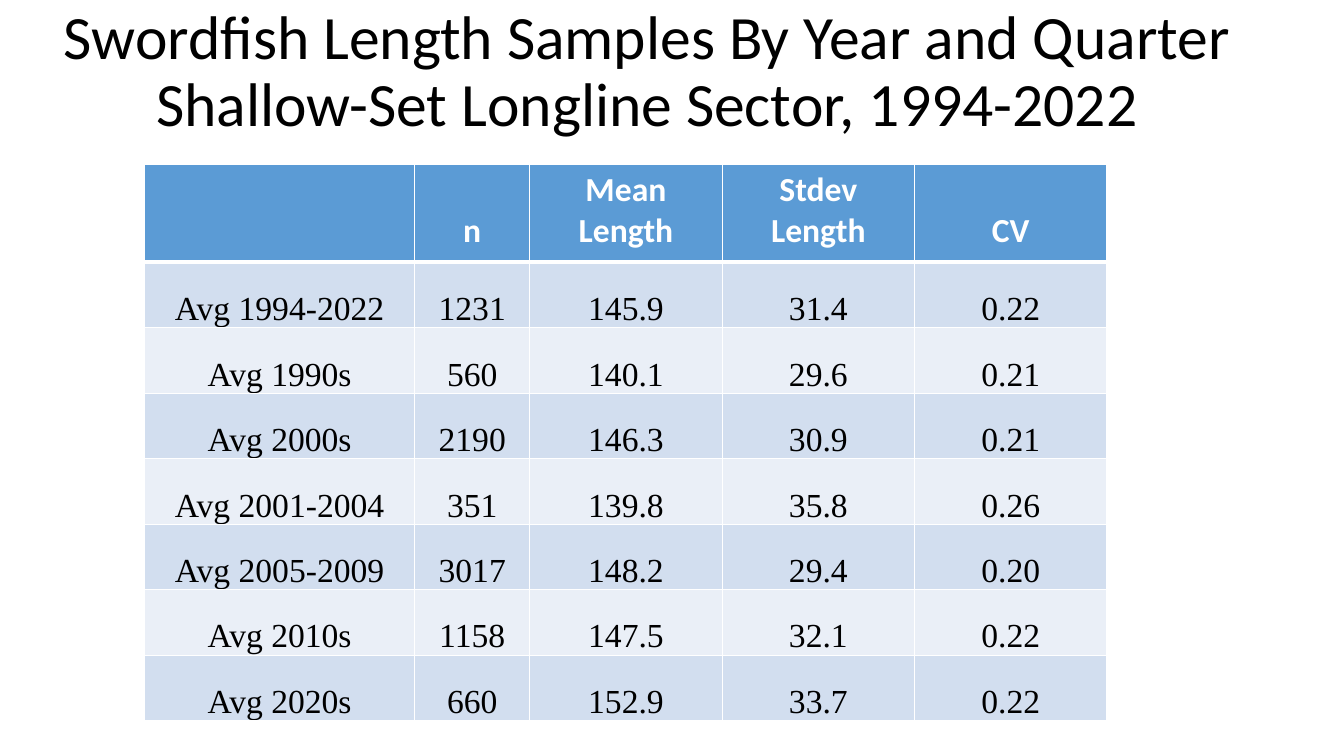
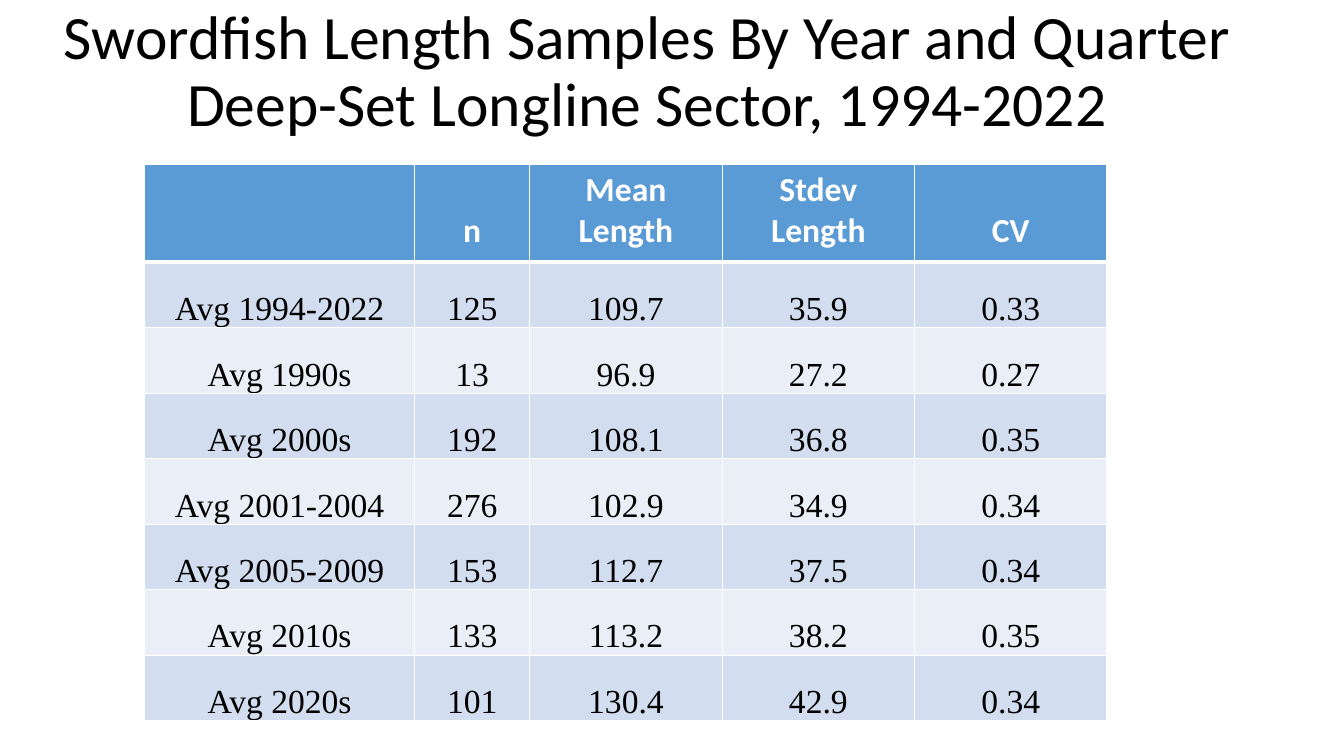
from dataclasses import dataclass

from lxml.etree import SubElement
from pptx import Presentation
from pptx.dml.color import RGBColor as Rgb
from pptx.enum.text import MSO_ANCHOR as Anchor, PP_ALIGN as Align
from pptx.oxml.ns import qn
from pptx.util import Cm, Pt

COLORS = {
    "text": "000000",
    "white": "FFFFFF",
    "header": "5B9BD5",
    "odd": "D2DEEF",
    "even": "EAEFF7",
}
HEADINGS = ("", "n", "Mean\nLength", "Stdev\nLength", "CV")
PERIODS = ("1994-2022", "1990s", "2000s", "2001-2004", "2005-2009", "2010s", "2020s")
COLUMN_WIDTHS = (6.81, 2.9, 4.85, 4.85, 4.85)
HEADER_HEIGHT, ROW_HEIGHT = 2.46, 1.65
TABLE_LEFT, TABLE_TOP = 3.64, 4.15
THIN, THICK = 1, 3


@dataclass(frozen=True)
class Sector:
    name: str
    samples: tuple[tuple[str, str, str, str], ...]


@dataclass(frozen=True)
class CellStyle:
    font: str
    color: str
    bold: bool
    margins: tuple[float, float, float, float]


HEADER_STYLE = CellStyle("Calibri", "white", True, (0.25, 0.1, 0.25, 0.28))
BODY_STYLE = CellStyle("Times New Roman", "text", False, (0.03, 0.03, 0.03, 0))

SECTORS = (
    Sector("Shallow-Set", (
        ("1231", "145.9", "31.4", "0.22"),
        ("560", "140.1", "29.6", "0.21"),
        ("2190", "146.3", "30.9", "0.21"),
        ("351", "139.8", "35.8", "0.26"),
        ("3017", "148.2", "29.4", "0.20"),
        ("1158", "147.5", "32.1", "0.22"),
        ("660", "152.9", "33.7", "0.22"),
    )),
    Sector("Deep-Set", (
        ("125", "109.7", "35.9", "0.33"),
        ("13", "96.9", "27.2", "0.27"),
        ("192", "108.1", "36.8", "0.35"),
        ("276", "102.9", "34.9", "0.34"),
        ("153", "112.7", "37.5", "0.34"),
        ("133", "113.2", "38.2", "0.35"),
        ("101", "130.4", "42.9", "0.34"),
    )),
)


def write_text(frame, text: str, *, size: float, font: str = "Calibri",
               color: str = "text", bold: bool = False, spacing: float = 1.0) -> None:
    for index, line in enumerate(text.split("\n")):
        para = frame.add_paragraph() if index else frame.paragraphs[0]
        para.text = line
        para.alignment = Align.CENTER
        para.line_spacing = spacing
        for span in para.runs:
            span.font.name = font
            span.font.size = Pt(size)
            span.font.bold = bold
            span.font.color.rgb = Rgb.from_string(COLORS[color])


def add_title(page, text: str) -> None:
    box = page.shapes.add_textbox(Cm(0.99), Cm(0), Cm(30.66), Cm(3.68))
    box.text_frame.word_wrap = True
    box.text_frame.vertical_anchor = Anchor.MIDDLE
    write_text(box.text_frame, text, size=44, spacing=0.9)


def draw_borders(cell, top: int, bottom: int) -> None:
    properties = cell._tc.get_or_add_tcPr()
    for side, width in (("L", THIN), ("R", THIN), ("T", top), ("B", bottom)):
        line = SubElement(properties, qn(f"a:ln{side}"), w=str(Pt(width)))
        fill = SubElement(line, qn("a:solidFill"))
        SubElement(fill, qn("a:srgbClr"), val=COLORS["white"])


def format_cell(cell, text: str, row: int) -> None:
    style = BODY_STYLE if row else HEADER_STYLE
    fill = ("odd" if row % 2 else "even") if row else "header"
    draw_borders(cell, top=THICK if row == 1 else THIN, bottom=THIN if row else THICK)
    cell.fill.solid()
    cell.fill.fore_color.rgb = Rgb.from_string(COLORS[fill])
    cell.vertical_anchor = Anchor.BOTTOM
    cell.margin_left, cell.margin_top, cell.margin_right, cell.margin_bottom = map(Cm, style.margins)
    write_text(cell.text_frame, text, size=24, font=style.font,
               color=style.color, bold=style.bold)


def add_sample_table(page, sector: Sector) -> None:
    averages = [(f"Avg {period}", *values) for period, values in zip(PERIODS, sector.samples)]
    rows = [HEADINGS, *averages]
    heights = [HEADER_HEIGHT] + [ROW_HEIGHT] * len(averages)
    table = page.shapes.add_table(
        len(rows), len(HEADINGS), Cm(TABLE_LEFT), Cm(TABLE_TOP),
        Cm(sum(COLUMN_WIDTHS)), Cm(sum(heights)),
    ).table
    for column, width in zip(table.columns, COLUMN_WIDTHS):
        column.width = Cm(width)
    for row, (values, height) in enumerate(zip(rows, heights)):
        table.rows[row].height = Cm(height)
        for column, value in enumerate(values):
            format_cell(table.cell(row, column), value, row)


def main() -> None:
    deck = Presentation()
    deck.slide_width, deck.slide_height = Cm(33.87), Cm(19.05)
    for sector in SECTORS:
        page = deck.slides.add_slide(deck.slide_layouts[6])
        add_title(page, "Swordfish Length Samples By Year and Quarter\v"
                        f"{sector.name} Longline Sector, 1994-2022")
        add_sample_table(page, sector)
    deck.save("out.pptx")


main()
